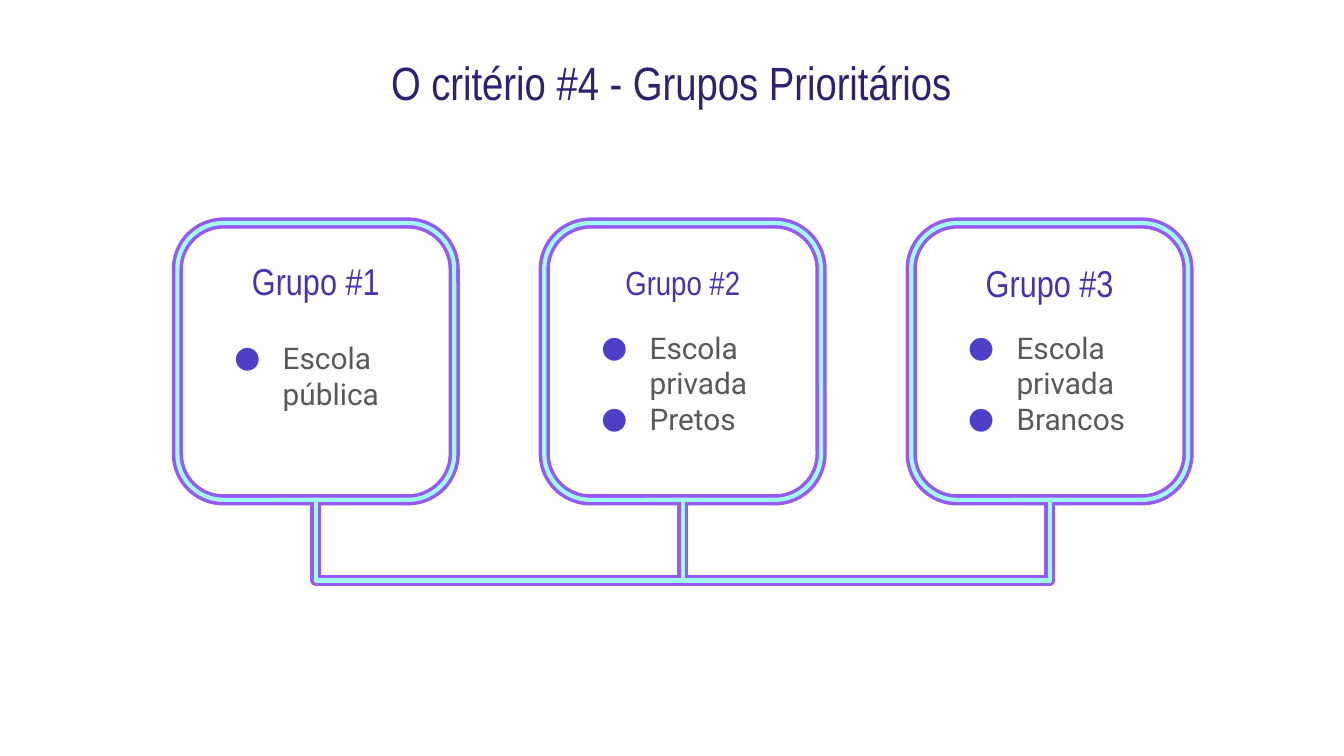
from dataclasses import dataclass

from lxml.etree import SubElement
from pptx import Presentation
from pptx.dml.color import RGBColor
from pptx.enum.shapes import MSO_CONNECTOR, MSO_SHAPE
from pptx.enum.text import MSO_ANCHOR, MSO_AUTO_SIZE, PP_ALIGN
from pptx.oxml.ns import qn
from pptx.util import Inches, Pt


@dataclass(frozen=True)
class Theme:
    title: str = "2B2270"
    heading: str = "4335AF"
    body: str = "595959"
    bullet: str = "4C3FC8"
    heading_font: str = "Arial Narrow"
    body_font: str = "Roboto"
    title_size: int = 25
    body_size: int = 16
    # Wide outer stroke, then the thin one that runs inside it
    strokes: tuple = (("9659F4", 6), ("A0FDF1", 2.25))


THEME = Theme()

# Grid: three columns around the middle one, on a 16:9 page
PAGE_WIDTH = 10
PAGE_HEIGHT = PAGE_WIDTH * 9 / 16
PITCH = 2.73
CENTRES = [5.08 + PITCH * step for step in (-1, 0, 1)]
CARD_TOP, CARD_SIZE = 1.66, 2.06
CARD_BOTTOM = CARD_TOP + CARD_SIZE
DROP = 0.6
TEXT_WIDTH = 1.69

# Heading, heading size, heading top, list top, list items
GROUPS = [
    ("Grupo #1", 20, 1.95, 2.43, ["Escola pública"]),
    ("Grupo #2", 18, 1.96, 2.35, ["Escola privada", "Pretos"]),
    ("Grupo #3", 20, 1.96, 2.35, ["Escola privada", "Brancos"]),
]


def add_bullet(para):
    properties = para._p.get_or_add_pPr()
    properties.set("marL", str(Inches(0.5)))
    properties.set("indent", str(Inches(-0.36)))
    colour = SubElement(properties, qn("a:buClr"))
    SubElement(colour, qn("a:srgbClr")).set("val", THEME.bullet)
    SubElement(properties, qn("a:buFont")).set("typeface", THEME.body_font)
    SubElement(properties, qn("a:buChar")).set("char", "●")


def write_text(box, lines, *, font, size, colour, align=PP_ALIGN.LEFT,
               anchor=MSO_ANCHOR.TOP, bullets=False):
    frame = box.text_frame
    frame.word_wrap = True
    frame.auto_size = MSO_AUTO_SIZE.NONE
    frame.vertical_anchor = anchor
    frame.margin_left = frame.margin_right = Inches(0.1)
    frame.margin_top = frame.margin_bottom = Inches(0.1)
    for index, line in enumerate(lines):
        para = frame.add_paragraph() if index else frame.paragraphs[0]
        para.alignment = align
        para.space_before = Pt(0)
        if bullets:
            add_bullet(para)
        span = para.add_run()
        span.text = line
        span.font.name = font
        span.font.size = Pt(size)
        span.font.color.rgb = RGBColor.from_string(colour)


def add_title(page, text):
    title = page.shapes.title
    title.left, title.top = Inches(0.56), Inches(0.33)
    title.width, title.height = Inches(8.87), Inches(0.56)
    write_text(title, [text], font=THEME.heading_font, size=THEME.title_size,
               colour=THEME.title, align=PP_ALIGN.CENTER,
               anchor=MSO_ANCHOR.MIDDLE)


def set_stroke(shape, stroke):
    colour, width = stroke
    shape.line.color.rgb = RGBColor.from_string(colour)
    shape.line.width = Pt(width)


def add_card(page, centre, stroke):
    card = page.shapes.add_shape(
        MSO_SHAPE.ROUNDED_RECTANGLE, Inches(centre - CARD_SIZE / 2),
        Inches(CARD_TOP), Inches(CARD_SIZE), Inches(CARD_SIZE))
    card.shadow.inherit = False
    card.fill.background()
    set_stroke(card, stroke)
    return card


def add_line(page, kind, start, end, stroke):
    line = page.shapes.add_connector(kind, *map(Inches, start + end))
    SubElement(line._element.spPr, qn("a:effectLst"))
    set_stroke(line, stroke)
    return line


def add_elbow(page, side, stroke):
    """Run down from an outer card and in to the middle; side is -1 or 1."""
    # A one-corner elbow is laid out upright and then turned by 90 degrees
    middle_x = CENTRES[1] + side * PITCH / 2
    middle_y = CARD_BOTTOM + DROP / 2
    start = (middle_x - side * DROP / 2, middle_y - PITCH / 2)
    end = (middle_x + side * DROP / 2, middle_y + PITCH / 2)
    elbow = add_line(page, MSO_CONNECTOR.ELBOW, start, end, stroke)
    properties = elbow._element.spPr
    properties.find(qn("a:prstGeom")).set("prst", "bentConnector2")
    properties.find(qn("a:xfrm")).set("rot", str(side * 90 % 360 * 60000))


def add_frame(page, stroke):
    """Draw the three cards and their joining lines in one stroke."""
    cards = [add_card(page, centre, stroke) for centre in CENTRES]
    for side in (-1, 1):
        add_elbow(page, side, stroke)
    stem = add_line(page, MSO_CONNECTOR.STRAIGHT, (CENTRES[1], CARD_BOTTOM),
                    (CENTRES[1], CARD_BOTTOM + DROP), stroke)
    stem.begin_connect(cards[1], 2)


def add_group_text(page, centre, heading, heading_size, heading_top,
                   list_top, items):
    left, width = Inches(centre - TEXT_WIDTH / 2), Inches(TEXT_WIDTH)
    box = page.shapes.add_textbox(left, Inches(heading_top), width,
                                  Inches(0.28))
    write_text(box, [heading], font=THEME.heading_font, size=heading_size,
               colour=THEME.heading, align=PP_ALIGN.CENTER,
               anchor=MSO_ANCHOR.MIDDLE)
    box = page.shapes.add_textbox(left, Inches(list_top), width, Inches(0.83))
    write_text(box, items, font=THEME.body_font, size=THEME.body_size,
               colour=THEME.body, bullets=True)


def main():
    deck = Presentation()
    deck.slide_width = Inches(PAGE_WIDTH)
    deck.slide_height = Inches(PAGE_HEIGHT)
    page = deck.slides.add_slide(deck.slide_layouts[5])

    # Cards and joining lines
    for stroke in THEME.strokes:
        add_frame(page, stroke)

    # Title and group texts
    add_title(page, "O critério #4 - Grupos Prioritários")
    for centre, group in zip(CENTRES, GROUPS):
        add_group_text(page, centre, *group)

    deck.save("out.pptx")


if __name__ == "__main__":
    main()
